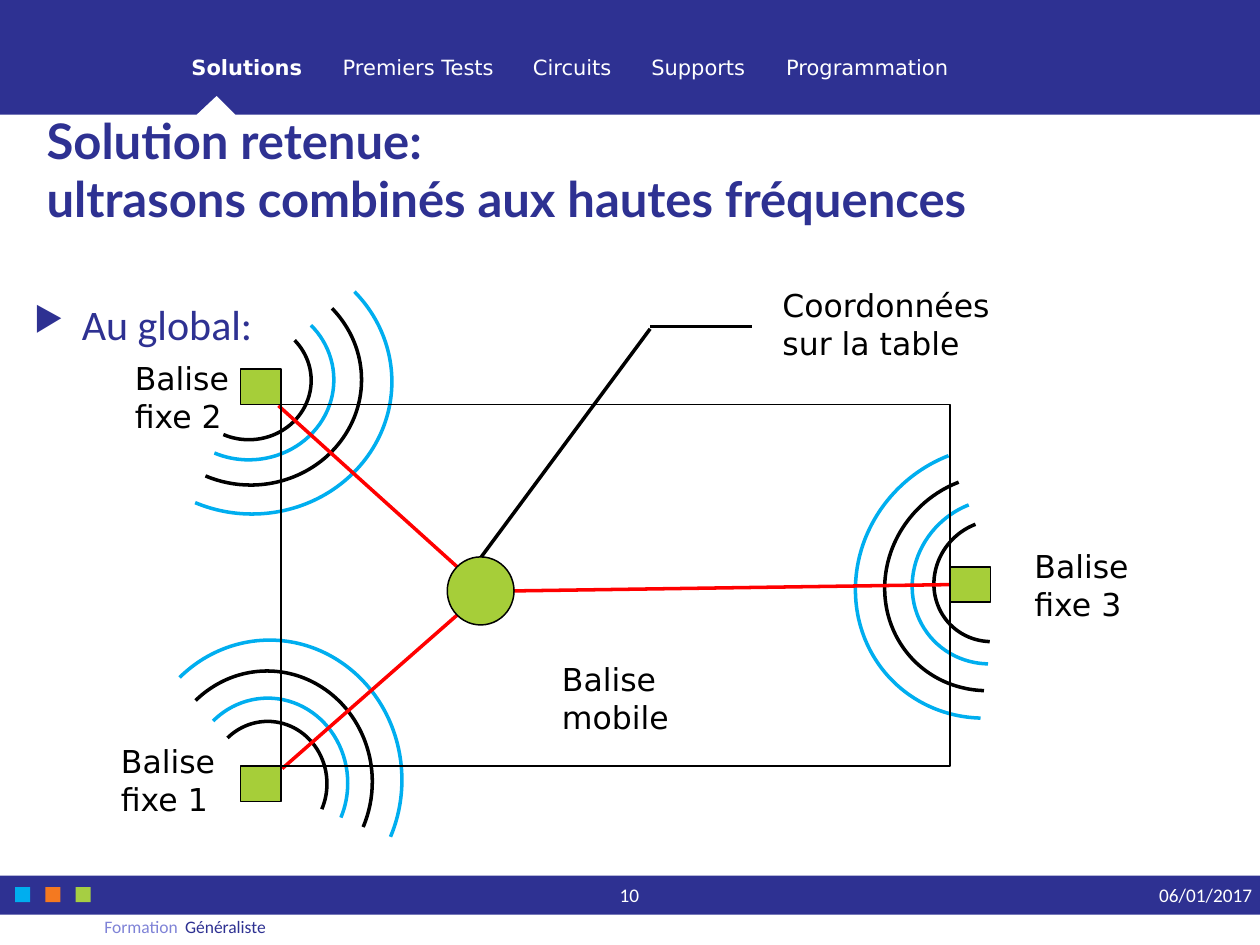
from lxml.etree import SubElement
from pptx import Presentation
from pptx.dml.color import RGBColor
from pptx.enum.shapes import MSO_CONNECTOR, MSO_SHAPE
from pptx.enum.text import MSO_ANCHOR, MSO_AUTO_SIZE, PP_ALIGN
from pptx.oxml.ns import qn
from pptx.util import Inches, Pt

COLORS = {
    "navy": "2E3192", "lavender": "7F83D7", "cyan": "00AEEF", "orange": "F47920",
    "lime": "A6CE43", "green": "A6CE39", "red": "FF0000", "black": "000000", "white": "FFFFFF",
}
NAVIGATION = ["Solutions", "Premiers Tests", "Circuits", "Supports", "Programmation"]
NAVIGATION_TABS = [1.2, 2.71, 3.65, 4.72]
HEADER_HUNDREDTHS = [(1000, 0), (1000, 91), (187, 91), (172, 76), (156, 91), (0, 91)]
WAVE_SIZES = [(0.99, 0.94), (1.35, 1.27), (1.76, 1.67), (2.22, 2.1)]
WAVES = [
    (0, [(1.48, 2.55), (1.3, 2.38), (1.11, 2.18), (0.89, 1.98)]),
    (270, [(1.63, 5.75), (1.45, 5.58), (1.24, 5.37), (1.03, 5.14)]),
    (136, [(7.4, 4.14), (7.22, 3.98), (7, 3.79), (6.76, 3.57)]),
]
BEACONS = [(1.91, 2.93), (1.91, 6.08), (7.54, 4.5)]
LABELS = [
    ("Balise fixe 1", 0.96, 5.89, 0.95),
    ("Balise fixe 2", 1.07, 2.85, 0.95),
    ("Balise fixe 3", 8.21, 4.34, 0.95),
    ("Balise mobile", 4.46, 5.24, 0.95),
    ("Coordonnées sur la table", 6.21, 2.27, 1.75),
]
SIGNALS = [(2.21, 3.22, 3.63, 4.5), (2.24, 6.1, 3.63, 4.88), (4.08, 4.69, 7.54, 4.64)]
CALLOUT = [(3.82, 4.42, 5.16, 2.61), (5.16, 2.59, 5.97, 2.59)]


def rgb(name):
    """Return the named colour."""
    return RGBColor.from_string(COLORS[name])


def set_format(target, values):
    """Set each attribute of the target from the values."""
    for name, value in values.items():
        setattr(target, name, value)


def style_shape(shape, fill=None, line=None, width=0.85):
    """Give a shape its fill and outline, without a shadow."""
    shape.shadow.inherit = False
    if fill:
        shape.fill.solid()
        shape.fill.fore_color.rgb = rgb(fill)
    else:
        shape.fill.background()
    if line:
        shape.line.color.rgb = rgb(line)
        shape.line.width = Pt(width)
    else:
        shape.line.fill.background()


def add_shape(slide, kind, box, **style):
    """Add a styled preset shape."""
    shape = slide.shapes.add_shape(kind, *map(Inches, box))
    style_shape(shape, **style)
    return shape


def add_line(slide, ends, color):
    """Add a straight line between two points."""
    line = slide.shapes.add_connector(MSO_CONNECTOR.STRAIGHT, *map(Inches, ends))
    SubElement(line._element.spPr, qn("a:effectLst"))
    line.line.color.rgb = rgb(color)
    line.line.width = Pt(2)


def add_run(paragraph, text, font, size, color, bold=False):
    """Append a formatted run to a paragraph."""
    run = paragraph.add_run()
    run.text = text
    set_format(run.font, {"name": font, "size": Pt(size), "bold": bold})
    run.font.color.rgb = rgb(color)


def add_text(slide, box, text, font, size, color, align=PP_ALIGN.LEFT, anchor=MSO_ANCHOR.TOP):
    """Add a text box without margins and return its paragraph."""
    frame = slide.shapes.add_textbox(*map(Inches, box)).text_frame
    set_format(frame, {
        "word_wrap": True, "vertical_anchor": anchor, "margin_left": 0,
        "margin_right": 0, "margin_top": 0, "margin_bottom": 0,
    })
    paragraph = frame.paragraphs[0]
    paragraph.alignment = align
    if text:
        add_run(paragraph, text, font, size, color)
    return paragraph


def add_header(slide):
    """Draw the notched header band and its navigation."""
    builder = slide.shapes.build_freeform(0, 0, scale=Inches(0.01))
    builder.add_line_segments(HEADER_HUNDREDTHS, close=True)
    style_shape(builder.convert_to_shape(), fill="navy")
    paragraph = add_text(slide, (1.52, 0.38, 7.26, 0.3), "", "DejaVu Sans", 12, "white",
                         anchor=MSO_ANCHOR.MIDDLE)
    tabs = SubElement(paragraph._p.get_or_add_pPr(), qn("a:tabLst"))
    for position in NAVIGATION_TABS:
        SubElement(tabs, qn("a:tab"), pos=str(Inches(position)), algn="l")
    for index, name in enumerate(NAVIGATION):
        text = f"\t{name}" if index else name
        add_run(paragraph, text, "DejaVu Sans", 12, "white", bold=index == 0)


def add_footer(slide):
    """Draw the footer band with its squares and texts."""
    add_shape(slide, MSO_SHAPE.RECTANGLE, (0, 6.95, 10, 0.31), fill="navy")
    for index, color in enumerate(["cyan", "orange", "lime"]):
        add_shape(slide, MSO_SHAPE.RECTANGLE, (0.12 + 0.24 * index, 7.04, 0.12, 0.12), fill=color)
    add_text(slide, (1.47, 7.27, 5, 0.23), "Généraliste", "Calibri", 10, "navy")
    add_text(slide, (0, 7.27, 1.41, 0.23), "Formation", "Calibri", 10, "lavender", PP_ALIGN.RIGHT)
    add_text(slide, (8.2, 6.95, 1.74, 0.31), "06/01/2017", "Calibri", 11, "white",
             PP_ALIGN.RIGHT, MSO_ANCHOR.MIDDLE)
    add_text(slide, (4.62, 6.95, 0.75, 0.31), "10", "Calibri", 11, "white",
             PP_ALIGN.CENTER, MSO_ANCHOR.MIDDLE)


def add_title(slide):
    """Place and format the title placeholder."""
    title = slide.shapes.title
    set_format(title, {
        "left": Inches(0.27), "top": Inches(1.07), "width": Inches(9.46), "height": Inches(0.54),
    })
    set_format(title.text_frame, {
        "word_wrap": True, "auto_size": MSO_AUTO_SIZE.NONE, "vertical_anchor": MSO_ANCHOR.MIDDLE,
    })
    paragraph = title.text_frame.paragraphs[0]
    paragraph.alignment = PP_ALIGN.LEFT
    add_run(paragraph, "Solution retenue:", "Lato", 28, "navy", bold=True)
    paragraph.add_line_break()
    add_run(paragraph, "ultrasons combinés aux hautes fréquences", "Lato", 28, "navy", bold=True)


def add_bullet(slide):
    """Add the bulleted line above the diagram."""
    paragraph = add_text(slide, (0.27, 2.37, 9.46, 4.46), "Au global:", "Calibri", 24, "navy")
    properties = paragraph._p.get_or_add_pPr()
    properties.set("marL", str(Inches(0.38)))
    properties.set("indent", str(-Inches(0.38)))
    color = SubElement(properties, qn("a:buClr"))
    SubElement(color, qn("a:srgbClr"), val=COLORS["navy"])
    SubElement(properties, qn("a:buSzPct"), val="80000")
    SubElement(properties, qn("a:buChar"), char="▶")


def add_waves(slide, rotation, corners):
    """Draw the widening arcs around one beacon."""
    for index, (corner, size) in enumerate(zip(corners, WAVE_SIZES)):
        color = "cyan" if index % 2 else "black"
        arc = add_shape(slide, MSO_SHAPE.ARC, corner + size, line=color, width=2)
        arc.adjustments[0], arc.adjustments[1] = 191.22, 69.11
        arc.rotation = rotation


def add_diagram(slide):
    """Draw the table, beacons, waves, signals and labels."""
    for text, left, top, width in LABELS:
        add_text(slide, (left, top, width, 0.61), text, "DejaVu Sans", 18, "black")
    for rotation, corners in WAVES:
        add_waves(slide, rotation, corners)
    for ends in SIGNALS:
        add_line(slide, ends, "red")
    add_shape(slide, MSO_SHAPE.RECTANGLE, (2.23, 3.21, 5.31, 2.87), line="black")
    for corner in BEACONS:
        add_shape(slide, MSO_SHAPE.RECTANGLE, corner + (0.32, 0.28), fill="green", line="black")
    add_shape(slide, MSO_SHAPE.OVAL, (3.55, 4.42, 0.53, 0.54), fill="green", line="black")
    for ends in CALLOUT:
        add_line(slide, ends, "black")


def main():
    """Build the slide and save it."""
    presentation = Presentation()
    set_format(presentation, {"slide_width": Inches(10), "slide_height": Inches(7.5)})
    slide = presentation.slides.add_slide(presentation.slide_layouts[5])
    add_header(slide)
    add_footer(slide)
    add_title(slide)
    add_bullet(slide)
    add_diagram(slide)
    presentation.save("out.pptx")


if __name__ == "__main__":
    main()
